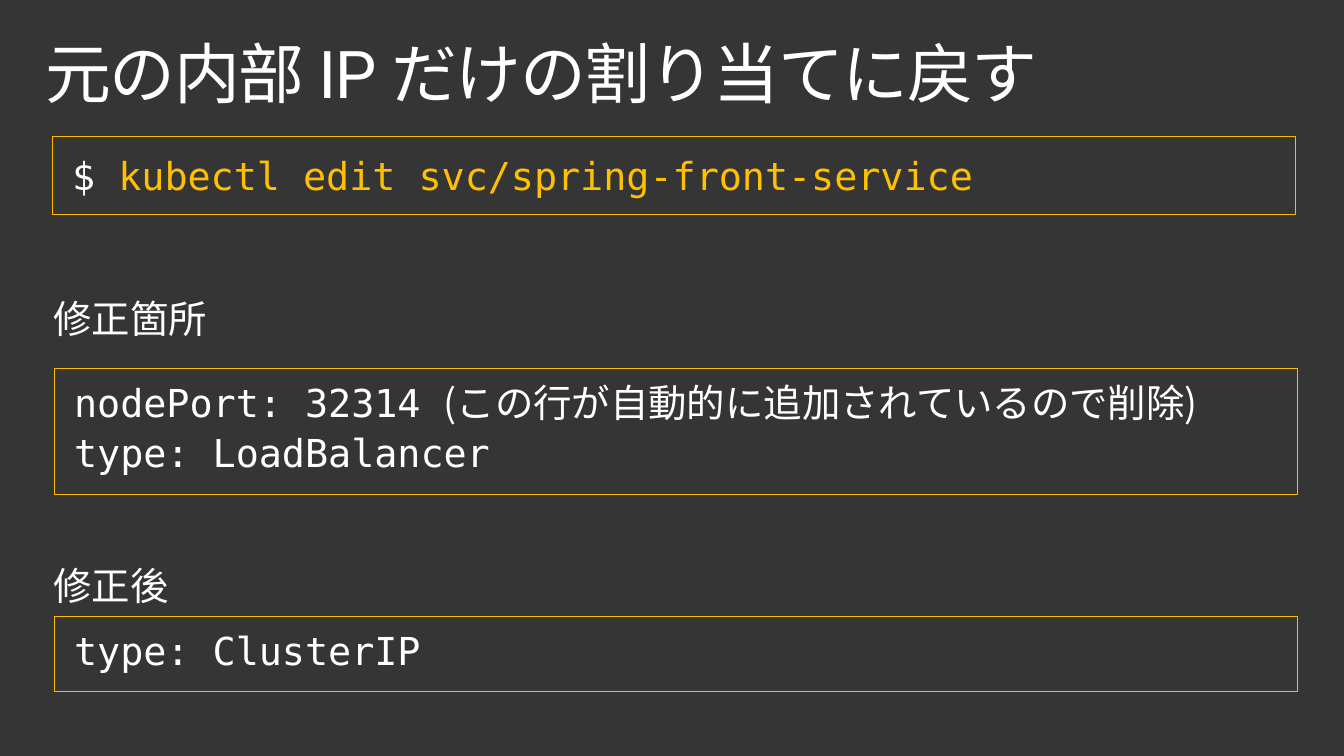
from lxml.etree import SubElement
from pptx import Presentation
from pptx.dml.color import RGBColor
from pptx.enum.shapes import MSO_SHAPE
from pptx.enum.text import MSO_ANCHOR, PP_ALIGN
from pptx.oxml.ns import qn
from pptx.util import Inches, Pt

MONO, JAPANESE = "DejaVu Sans Mono", "Noto Sans CJK JP"
WHITE, AMBER, GOLD, CHARCOAL = "FFFFFF", "FFC000", "FFB900", "353535"


def style(font, name, color, size):
    """Set the Latin and the East Asian face, with colour and size."""
    font.name = name
    font.size = Pt(size)
    font.color.rgb = RGBColor.from_string(color)
    SubElement(font._element, qn("a:ea"), typeface=JAPANESE)


def write(shape, lines, line_spacing):
    """Fill a shape with lines, each a list of (text, font name, colour)."""
    frame = shape.text_frame
    frame.word_wrap = True
    frame.vertical_anchor = MSO_ANCHOR.TOP
    frame.margin_left = frame.margin_right = Inches(0.2)
    frame.margin_top = frame.margin_bottom = Inches(0.16)
    for index, parts in enumerate(lines):
        paragraph = frame.add_paragraph() if index else frame.paragraphs[0]
        paragraph.alignment = PP_ALIGN.LEFT
        paragraph.line_spacing = line_spacing
        paragraph.space_after = Pt(6 if line_spacing < 1 else 0)
        if len(parts) == 1:
            style(paragraph.font, *parts[0][1:], 28)
        for text, name, color in parts:
            run = paragraph.add_run()
            run.text = text
            if len(parts) > 1:
                style(run.font, name, color, 28)


presentation = Presentation()
presentation.slide_width = Inches(13.6)
presentation.slide_height = Inches(7.65)
slide = presentation.slides.add_slide(presentation.slide_layouts[5])
slide.background.fill.solid()
slide.background.fill.fore_color.rgb = RGBColor.from_string(CHARCOAL)

title = slide.shapes.title
title.left, title.top = Inches(0.3), Inches(0.32)
title.width, title.height = Inches(13), Inches(1)
title_frame = title.text_frame
title_frame.text = "元の内部 IP だけの割り当てに戻す"
title_frame.vertical_anchor = MSO_ANCHOR.TOP
title_frame.margin_left = title_frame.margin_right = Inches(0.16)
title_frame.margin_top = title_frame.margin_bottom = Inches(0.1)
heading = title_frame.paragraphs[0]
heading.alignment = PP_ALIGN.LEFT
heading.line_spacing = 0.9
style(heading.font, "Roboto", WHITE, 48)
heading.runs[0].font._element.set("spc", "-100")

code_boxes = [
    (0.53, 1.38, 0.79, 1.0, [
        [("$ ", MONO, WHITE), ("kubectl edit svc/spring-front-service", MONO, AMBER)],
    ]),
    (0.55, 3.73, 1.27, 0.9, [
        [("nodePort: 32314 ", MONO, WHITE),
         ("(この行が自動的に追加されているので削除)", JAPANESE, WHITE)],
        [("type: LoadBalancer", MONO, WHITE)],
    ]),
    (0.55, 6.24, 0.76, 0.9, [[("type: ClusterIP", MONO, WHITE)]]),
]
for left, top, height, line_spacing, lines in code_boxes:
    box = slide.shapes.add_shape(
        MSO_SHAPE.RECTANGLE, Inches(left), Inches(top), Inches(12.58), Inches(height))
    box.shadow.inherit = False
    box.fill.background()
    box.line.color.rgb = RGBColor.from_string(GOLD)
    box.line.width = Pt(0.75)
    write(box, lines, line_spacing)

for top, caption in [(2.88, "修正箇所"), (5.58, "修正後")]:
    label = slide.shapes.add_textbox(
        Inches(0.34), Inches(top), Inches(13.28), Inches(0.75))
    write(label, [[(caption, JAPANESE, WHITE)]], 0.9)

presentation.save("out.pptx")
